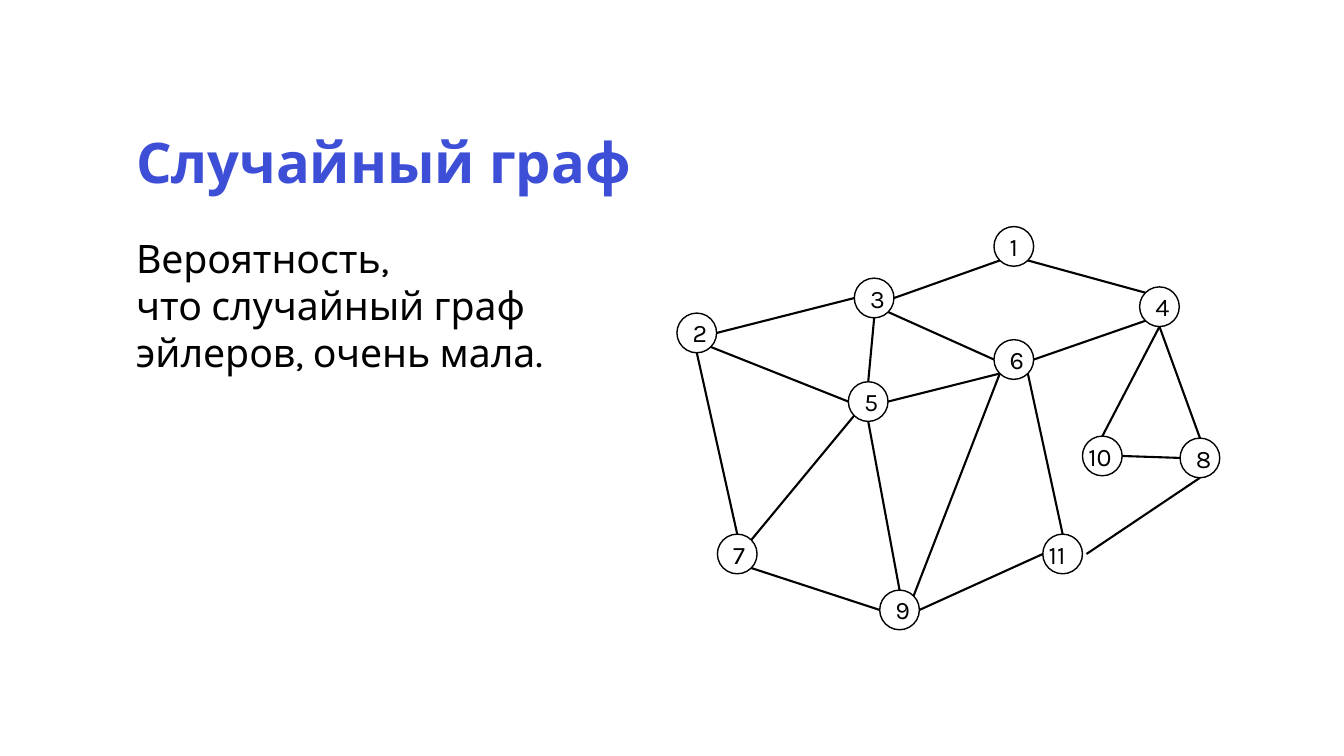
from dataclasses import dataclass
from math import cos, radians, sin

from lxml.etree import SubElement
from pptx import Presentation
from pptx.dml.color import RGBColor
from pptx.enum.shapes import MSO_CONNECTOR, MSO_SHAPE
from pptx.enum.text import MSO_ANCHOR as Anchor, PP_ALIGN as Align
from pptx.oxml.ns import qn
from pptx.util import Cm, Pt

COLORS = {"title": "3D4ED7", "ink": "000000", "paper": "FFFFFF"}
FONT = "Karla"
DIAMETER = 1.0
ANGLES = {"E": 0, "SE": 45, "S": 90, "SW": 135, "W": 180, "NW": 225, "N": 270, "NE": 315}


@dataclass(frozen=True)
class Vertex:
    number: int
    x: float
    y: float

    def rim(self, side: str) -> tuple[float, float]:
        angle = radians(ANGLES[side])
        return self.x + DIAMETER / 2 * cos(angle), self.y + DIAMETER / 2 * sin(angle)


@dataclass(frozen=True)
class Edge:
    start: int
    start_side: str
    end: int
    end_side: str
    gap: float = 0


VERTICES = {vertex.number: vertex for vertex in (
    Vertex(1, 25.55, 6.21),
    Vertex(2, 17.56, 8.39),
    Vertex(3, 22.03, 7.51),
    Vertex(4, 29.22, 7.73),
    Vertex(5, 21.88, 10.12),
    Vertex(6, 25.55, 9.06),
    Vertex(7, 18.58, 13.96),
    Vertex(8, 30.24, 11.54),
    Vertex(9, 22.67, 15.37),
    Vertex(10, 27.78, 11.49),
    Vertex(11, 26.78, 13.96),
)}

EDGES = (
    Edge(2, "SE", 5, "W"),
    Edge(7, "N", 2, "S"),
    Edge(3, "SE", 6, "W"),
    Edge(4, "NW", 1, "SE"),
    Edge(4, "S", 10, "N"),
    Edge(8, "N", 4, "S"),
    Edge(3, "E", 1, "SW"),
    Edge(5, "S", 9, "N"),
    Edge(8, "W", 10, "E"),
    Edge(7, "SE", 9, "W"),
    Edge(9, "E", 11, "W"),
    Edge(9, "NE", 6, "SW"),
    Edge(4, "SW", 6, "E"),
    Edge(11, "N", 6, "SE"),
    Edge(5, "N", 3, "S"),
    Edge(2, "E", 3, "W"),
    Edge(5, "E", 6, "SW"),
    Edge(11, "E", 8, "S", gap=0.1),
    Edge(7, "NE", 5, "SW"),
)


def rgb(name: str) -> RGBColor:
    return RGBColor.from_string(COLORS[name])


def write(frame, text: str, size: float, color: str = "ink", bold: bool = False):
    frame.text = text
    paragraph = frame.paragraphs[0]
    paragraph.font.name = FONT
    paragraph.font.size = Pt(size)
    paragraph.font.bold = bold
    paragraph.font.color.rgb = rgb(color)
    return paragraph


def add_text_frame(slide, x: float, y: float, width: float, height: float, wrap: bool = True):
    frame = slide.shapes.add_textbox(Cm(x), Cm(y), Cm(width), Cm(height)).text_frame
    frame.word_wrap = wrap
    return frame


def draw_vertex(slide, vertex: Vertex) -> None:
    circle = slide.shapes.add_shape(
        MSO_SHAPE.OVAL, Cm(vertex.x - DIAMETER / 2), Cm(vertex.y - DIAMETER / 2),
        Cm(DIAMETER), Cm(DIAMETER))
    circle.shadow.inherit = False
    circle.fill.solid()
    circle.fill.fore_color.rgb = rgb("paper")
    circle.line.color.rgb = rgb("ink")
    circle.line.width = Pt(1)
    if vertex.number < 10:
        circle.text_frame.vertical_anchor = Anchor.MIDDLE
        write(circle.text_frame, str(vertex.number), 18).alignment = Align.CENTER
    else:
        label = add_text_frame(slide, vertex.x - 0.6, vertex.y - 0.5, 1.22, 1.02, wrap=False)
        write(label, str(vertex.number), 18)


def draw_edge(slide, edge: Edge) -> None:
    x1, y1 = VERTICES[edge.start].rim(edge.start_side)
    x2, y2 = VERTICES[edge.end].rim(edge.end_side)
    line = slide.shapes.add_connector(
        MSO_CONNECTOR.STRAIGHT, Cm(x1 + edge.gap), Cm(y1), Cm(x2), Cm(y2))
    line.line.color.rgb = rgb("ink")
    line.line.width = Pt(1.5)
    SubElement(line._element.spPr, qn("a:effectLst"))


def main() -> None:
    deck = Presentation()
    deck.slide_width, deck.slide_height = Cm(33.87), Cm(19.05)
    slide = deck.slides.add_slide(deck.slide_layouts[6])

    title = add_text_frame(slide, 3.18, 3.18, 27.56, 1.96)
    title.vertical_anchor = Anchor.MIDDLE
    write(title, "Случайный граф", 40, "title", bold=True).line_spacing = 0.9

    statement = add_text_frame(slide, 3.18, 5.77, 12.83, 3.84)
    write(statement, "Вероятность,\vчто случайный граф эйлеров, очень мала.", 28)

    for vertex in VERTICES.values():
        draw_vertex(slide, vertex)
    for edge in EDGES:
        draw_edge(slide, edge)

    deck.save("out.pptx")


if __name__ == "__main__":
    main()
